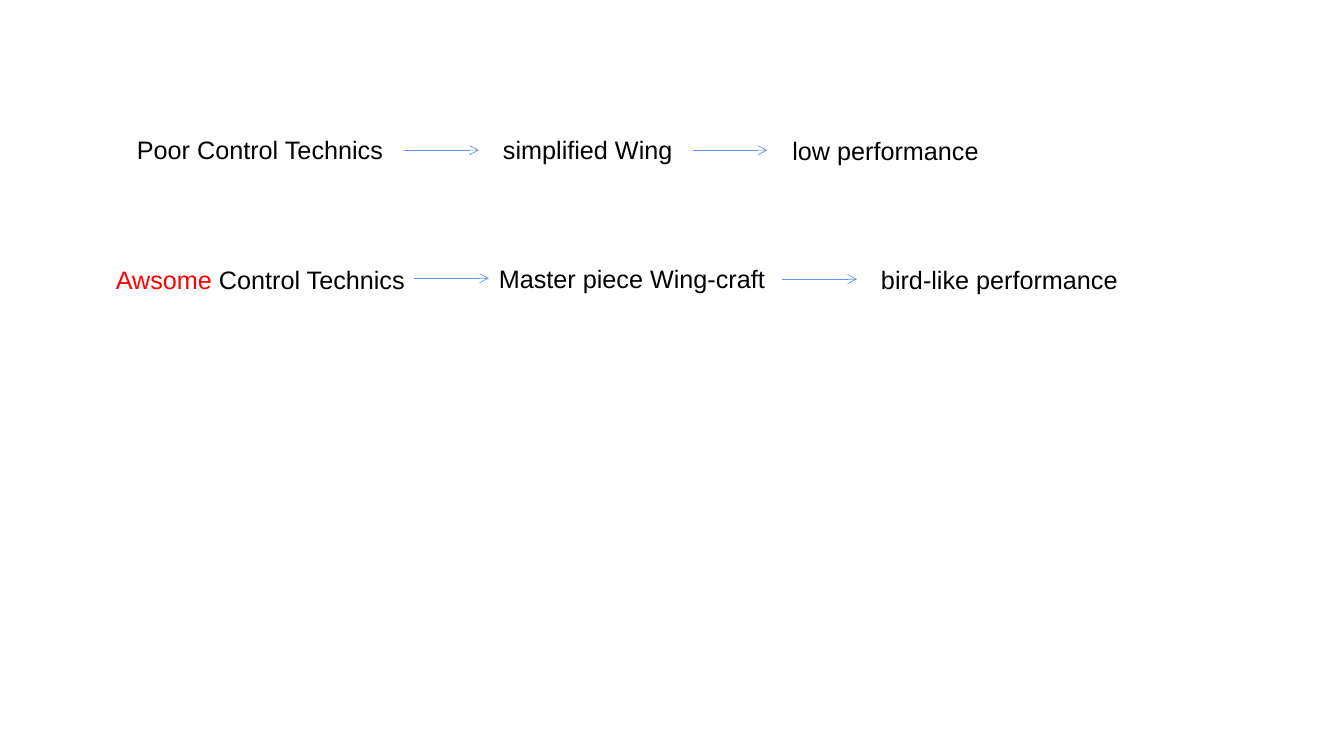
from lxml.etree import SubElement
from pptx import Presentation
from pptx.dml.color import RGBColor as RGB
from pptx.enum.shapes import MSO_CONNECTOR as CONN
from pptx.enum.text import MSO_AUTO_SIZE as AUTO
from pptx.oxml.ns import qn
from pptx.util import Inches, Pt

COLORS = {"text": "000000", "accent": "FF0000", "arrow": "6096E6"}
LABEL_H = 0.4
ARROW_W = 0.74


class FlowSlide:
    font = {"name": "Arial", "size": Pt(18)}
    frame = {"word_wrap": False, "auto_size": AUTO.SHAPE_TO_FIT_TEXT}

    def __init__(self, prs):
        self.s = prs.slides.add_slide(prs.slide_layouts[6])

    def label(self, x, y, w, *runs):
        sp = self.s.shapes.add_textbox(*map(Inches, (x, y, w, LABEL_H)))
        tf = sp.text_frame
        for key, value in self.frame.items():
            setattr(tf, key, value)
        p = tf.paragraphs[0]
        for text, color in runs:
            r = p.add_run()
            r.text = text
            for key, value in self.font.items():
                setattr(r.font, key, value)
            r.font.color.rgb = RGB.from_string(COLORS[color])

    def arrow(self, x, y):
        ends = map(Inches, (x, y, x + ARROW_W, y))
        sp = self.s.shapes.add_connector(CONN.STRAIGHT, *ends)
        sp.line.width = Pt(0.5)
        sp.line.color.rgb = RGB.from_string(COLORS["arrow"])
        SubElement(sp.line._get_or_add_ln(), qn("a:tailEnd"), type="arrow")
        SubElement(sp._element.spPr, qn("a:effectLst"))


def main():
    prs = Presentation()
    prs.slide_width, prs.slide_height = Inches(13.33), Inches(7.5)
    slide = FlowSlide(prs)

    labels = [
        (1.26, 1.28, 2.64, ("Poor Control Technics", "text")),
        (4.89, 1.28, 1.88, ("simplified Wing", "text")),
        (7.76, 1.29, 2.05, ("low performance", "text")),
        (1.05, 2.57, 3.07, ("Awsome", "accent"), (" Control Technics", "text")),
        (4.85, 2.56, 2.84, ("Master piece Wing-craft", "text")),
        (8.57, 2.57, 2.62, (" bird-like performance", "text")),
    ]
    for label in labels:
        slide.label(*label)

    for x, y in [(4.01, 1.49), (6.87, 1.49), (4.11, 2.76), (7.76, 2.77)]:
        slide.arrow(x, y)

    prs.save("out.pptx")


if __name__ == "__main__":
    main()
